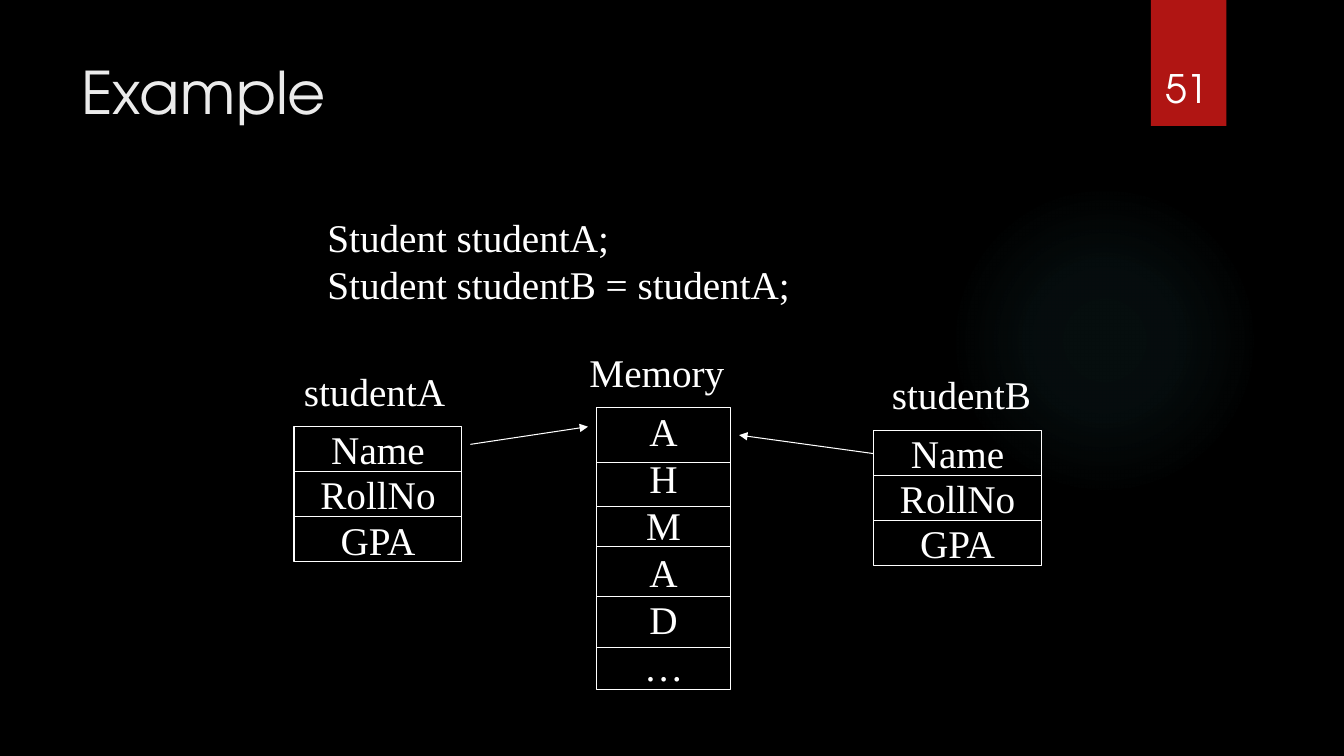
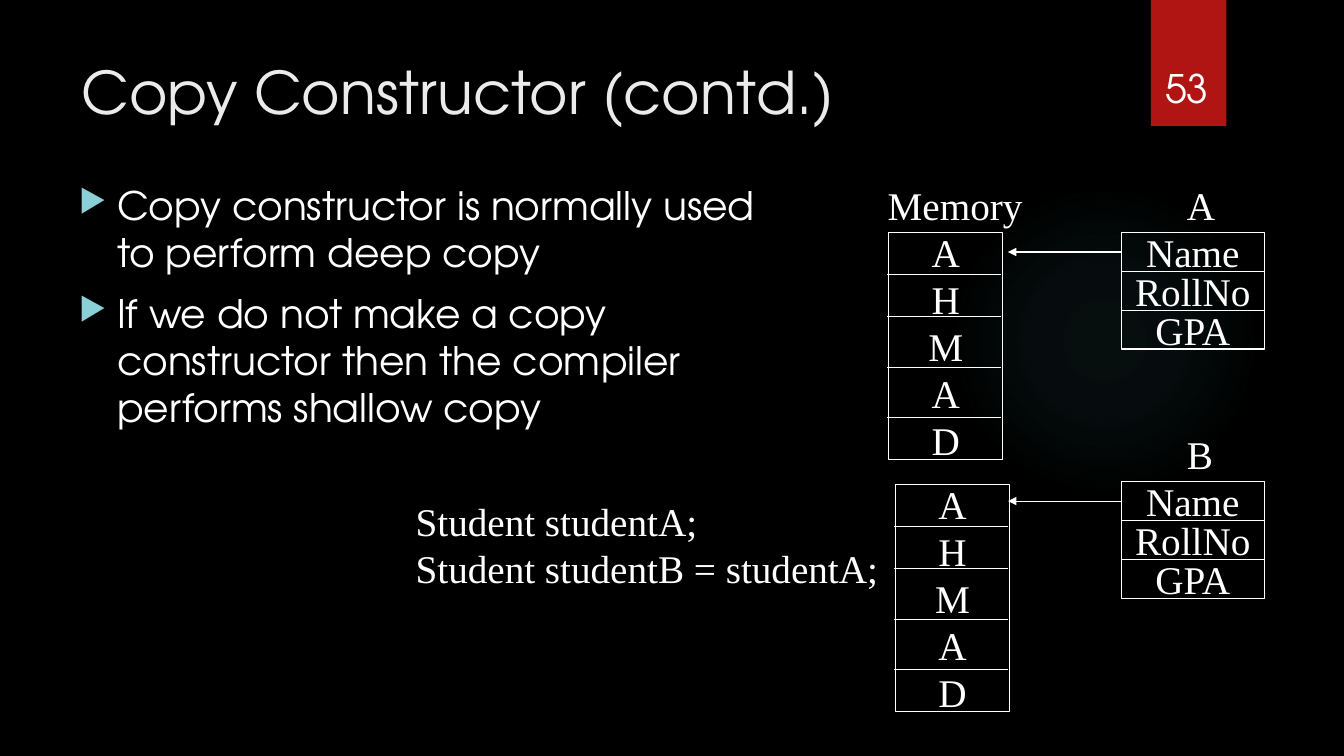
from collections import namedtuple
from dataclasses import dataclass

from lxml.etree import SubElement
from pptx import Presentation
from pptx.dml.color import RGBColor
from pptx.enum.shapes import MSO_CONNECTOR as Conn, MSO_SHAPE as Shape
from pptx.enum.text import MSO_ANCHOR as Anchor, PP_ALIGN as Align
from pptx.oxml import parse_xml
from pptx.oxml.ns import nsdecls, qn
from pptx.util import Inches, Pt

# Grid of 160 columns by 90 rows, twelve to the inch
COLS, ROWS = 160, 90
UNIT = Inches(1) // 12
Box = namedtuple("Box", "x y w h")
LABEL_H = 6.8


@dataclass(frozen=True)
class Theme:
    back: str = "000000"
    text: str = "FFFFFF"
    title: str = "EBEBEB"
    ribbon: str = "B01513"
    glow: str = "50B9C1"
    bullet: str = "8AD0D6"
    head_font: str = "TeX Gyre Adventor"
    code_font: str = "Times New Roman"
    title_size: int = 42
    body_size: int = 28
    line: float = 0.75


T = Theme()


def rgb(value):
    return RGBColor.from_string(value)


def emu(*lengths):
    return [round(n * UNIT) for n in lengths]


def write(tf, text, font=T.code_font, size=T.body_size, color=T.text,
          align=Align.LEFT, anchor=Anchor.TOP, wrap=False):
    """Put each line of text in its own paragraph."""
    tf.word_wrap, tf.vertical_anchor = wrap, anchor
    for i, line in enumerate(text.split("\n")):
        p = tf.add_paragraph() if i else tf.paragraphs[0]
        p.alignment = align
        r = p.add_run()
        r.text = line
        r.font.name, r.font.size, r.font.color.rgb = font, Pt(size), rgb(color)
    return tf


def add_text(s, box, text, **fmt):
    return write(s.shapes.add_textbox(*emu(*box)).text_frame, text, **fmt)


def add_shape(s, kind, box, fill=None, line=None):
    sp = s.shapes.add_shape(kind, *emu(*box))
    sp.shadow.inherit = False
    if fill:
        sp.fill.solid()
        sp.fill.fore_color.rgb = rgb(fill)
    else:
        sp.fill.background()
    if line:
        sp.line.color.rgb, sp.line.width = rgb(line), Pt(T.line)
    else:
        sp.line.fill.background()
    return sp


def add_cell(s, box, text):
    sp = add_shape(s, Shape.RECTANGLE, box, line=T.text)
    write(sp.text_frame, text, align=Align.CENTER, anchor=Anchor.MIDDLE)


def add_line(s, x1, y1, x2, y2, arrow=False):
    c = s.shapes.add_connector(Conn.STRAIGHT, *emu(x1, y1, x2, y2))
    c.line.color.rgb, c.line.width = rgb(T.text), Pt(T.line)
    if arrow:
        SubElement(c.line._get_or_add_ln(), qn("a:tailEnd"), type="triangle")
    SubElement(c._element.spPr, qn("a:effectLst"))


def add_glow(s, box):
    """Faint round light that fades towards its rim."""
    sp = add_shape(s, Shape.OVAL, box, fill=T.glow)
    stops = "".join(
        f'<a:gs pos="{pos}000"><a:srgbClr val="{T.glow}">'
        f'<a:alpha val="{alpha}000"/></a:srgbClr></a:gs>'
        for pos, alpha in ((0, 7), (36, 6), (69, 0), (100, 0)))
    grad = parse_xml(
        f'<a:gradFill {nsdecls("a")}><a:gsLst>{stops}</a:gsLst>'
        '<a:path path="circle"><a:fillToRect l="50000" t="50000" '
        'r="50000" b="50000"/></a:path></a:gradFill>')
    spPr = sp._element.spPr
    spPr.replace(spPr.find(qn("a:solidFill")), grad)


def base_slide(prs, title, number):
    """Background, ribbon with slide number, and title."""
    s = prs.slides.add_slide(prs.slide_layouts[6])
    s.background.fill.solid()
    s.background.fill.fore_color.rgb = rgb(T.back)
    add_glow(s, Box(113, 22, 37, 37))
    add_shape(s, Shape.RECTANGLE, Box(137, 0, 9, 15), fill=T.ribbon)
    add_text(s, Box(135.8, 3.8, 11, 10.1), str(number), font=T.head_font,
             align=Align.CENTER, anchor=Anchor.BOTTOM, wrap=True)
    add_text(s, Box(8.5, 6, 123.5, 18.4), title, font=T.head_font,
             size=T.title_size, color=T.title, wrap=True)
    return s


def bullet_list(s, box, items):
    tf = add_text(s, box, "\n".join(items), font=T.head_font, wrap=True)
    indent = Inches(0.38)
    for i, p in enumerate(tf.paragraphs):
        pPr = p._p.get_or_add_pPr()
        pPr.set("marL", str(indent))
        pPr.set("indent", str(-indent))
        color = SubElement(pPr, qn("a:buClr"))
        SubElement(color, qn("a:srgbClr"), val=T.bullet)
        SubElement(pPr, qn("a:buSzPct"), val="80000")
        SubElement(pPr, qn("a:buChar"), char="▶")
        if i:
            p.space_before = Pt(10)


def code_lines(s, x, y):
    add_text(s, Box(x, y, 57.5, 12.4),
             "Student studentA;\nStudent studentB = studentA;")


def student_card(s, box, name, label_dx, label_dy, label_w):
    """Object with three stacked fields and its name above."""
    fields = "Name", "RollNo", "GPA"
    h = box.h / len(fields)
    for i, field in enumerate(fields):
        add_cell(s, Box(box.x, box.y + i * h, box.w, h), field)
    add_text(s, Box(box.x + label_dx, box.y - label_dy, label_w, LABEL_H), name)


def memory_block(s, box, letters, dividers, shift=0):
    """Column of letters, with dividers at given rows below its top."""
    add_cell(s, box, "\n".join(letters))
    left = box.x - shift
    for dy in dividers:
        add_line(s, left + box.w, box.y + dy, left, box.y + dy)


def example_slide(prs):
    s = base_slide(prs, "Example", 51)
    code_lines(s, 37.8, 24.84)
    # Two objects
    student_card(s, Box(35, 50.8, 20, 16.1), "studentA", 0, 7.7, 19.2)
    student_card(s, Box(104, 51.25, 20, 16.1), "studentB", 1, 7.7, 19)
    # Shared memory
    memory_block(s, Box(71, 48.55, 16, 33.5), "AHMAD…",
                 (6.5, 11.8, 16.5, 22.5, 28.5))
    add_text(s, Box(69, 40.9, 19, LABEL_H), "Memory", wrap=True)
    add_line(s, 56, 52.9, 70, 50.8, arrow=True)
    add_line(s, 104, 54, 88, 51.8, arrow=True)


def copy_slide(prs):
    s = base_slide(prs, "Copy Constructor (contd.)", 53)
    bullet_list(s, Box(8.2, 21, 83.5, 55), (
        "Copy constructor is normally used to perform deep copy",
        "If we do not make a copy constructor then the compiler "
        "performs shallow copy"))
    code_lines(s, 48.3, 58.6)
    add_text(s, Box(104.5, 21, 18.5, LABEL_H), "Memory")
    # Each object points to its own memory
    for name, top, memory_x in (("A", 27.65, 105.8), ("B", 57.3, 106.6)):
        student_card(s, Box(133.5, top, 17, 13.9), name, 6.6, 6.65, 5.7)
        memory_y = 27.7 if name == "A" else 57.7
        memory_block(s, Box(memory_x, memory_y, 13.6, 27), "AHMAD",
                     (5, 10, 16, 22), shift=0.2)
        add_line(s, 133.5, top + 2.35, 120, top + 2.35, arrow=True)


def main():
    prs = Presentation()
    prs.slide_width, prs.slide_height = emu(COLS, ROWS)
    example_slide(prs)
    copy_slide(prs)
    prs.save("out.pptx")


if __name__ == "__main__":
    main()
